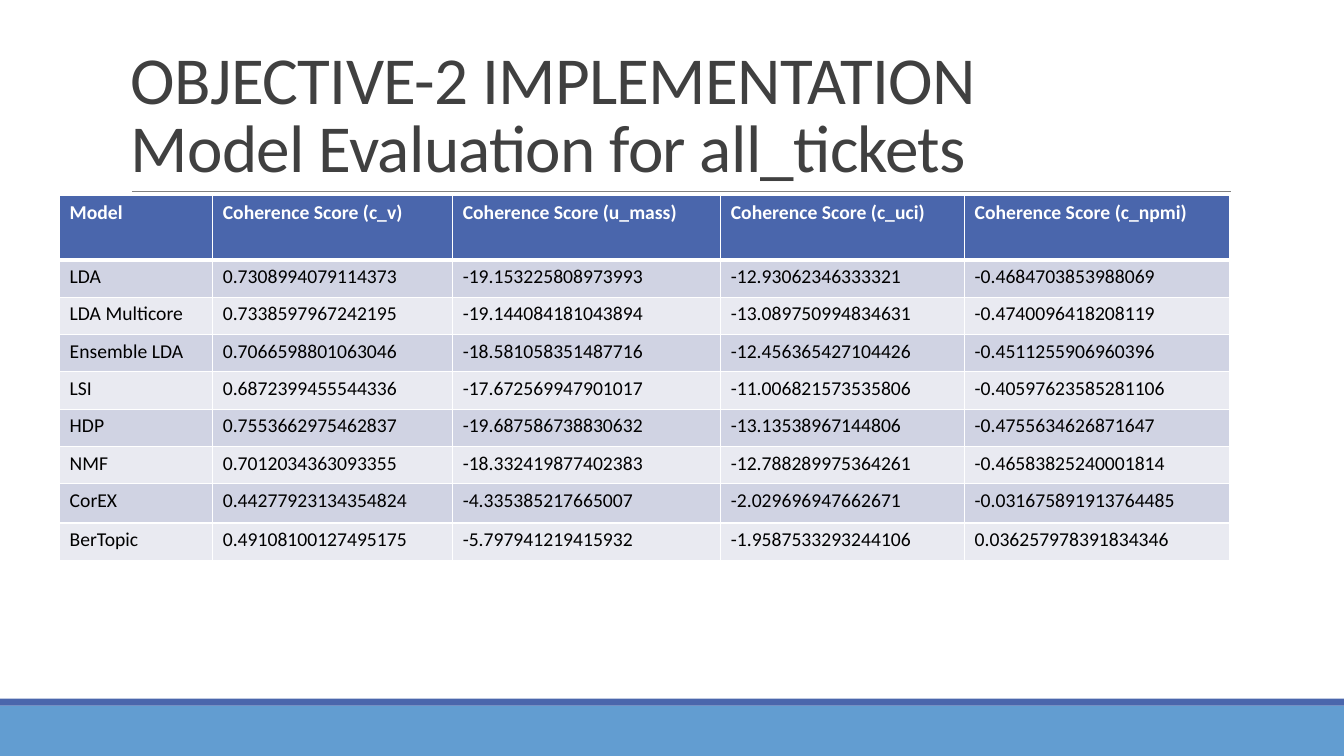
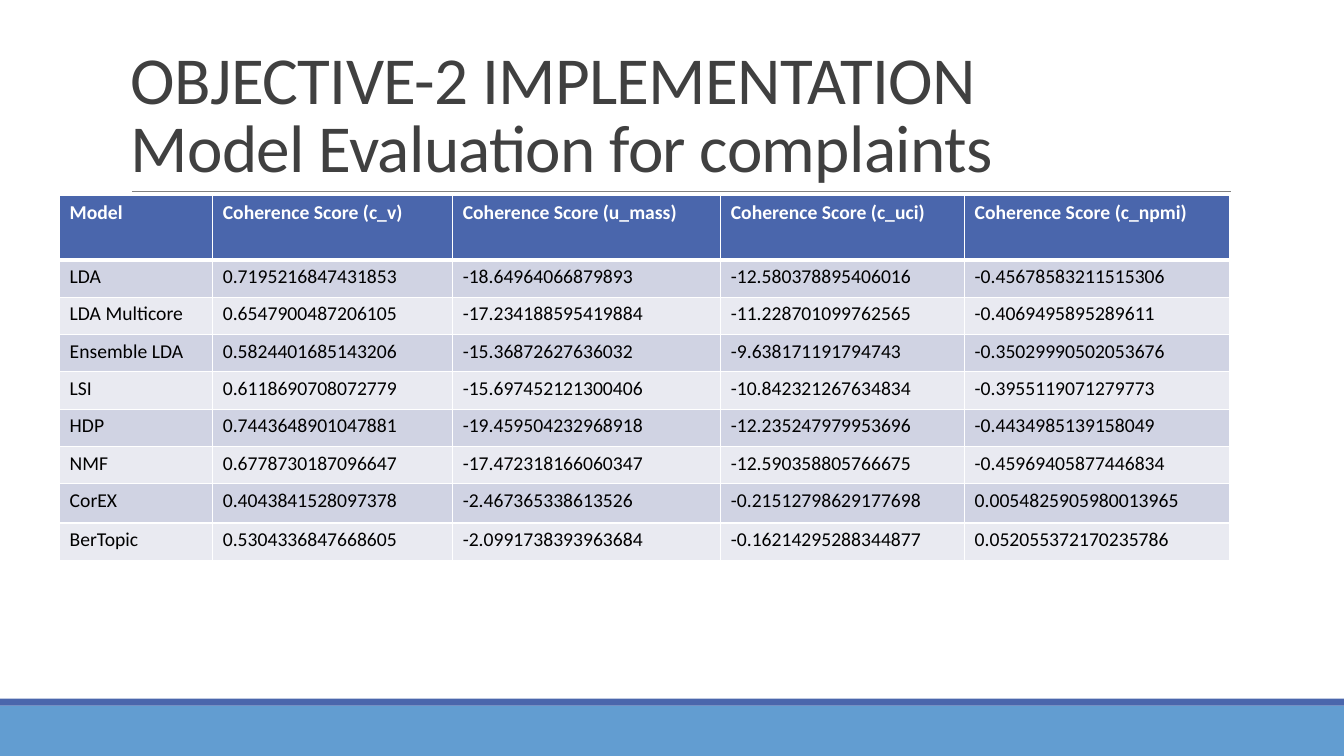
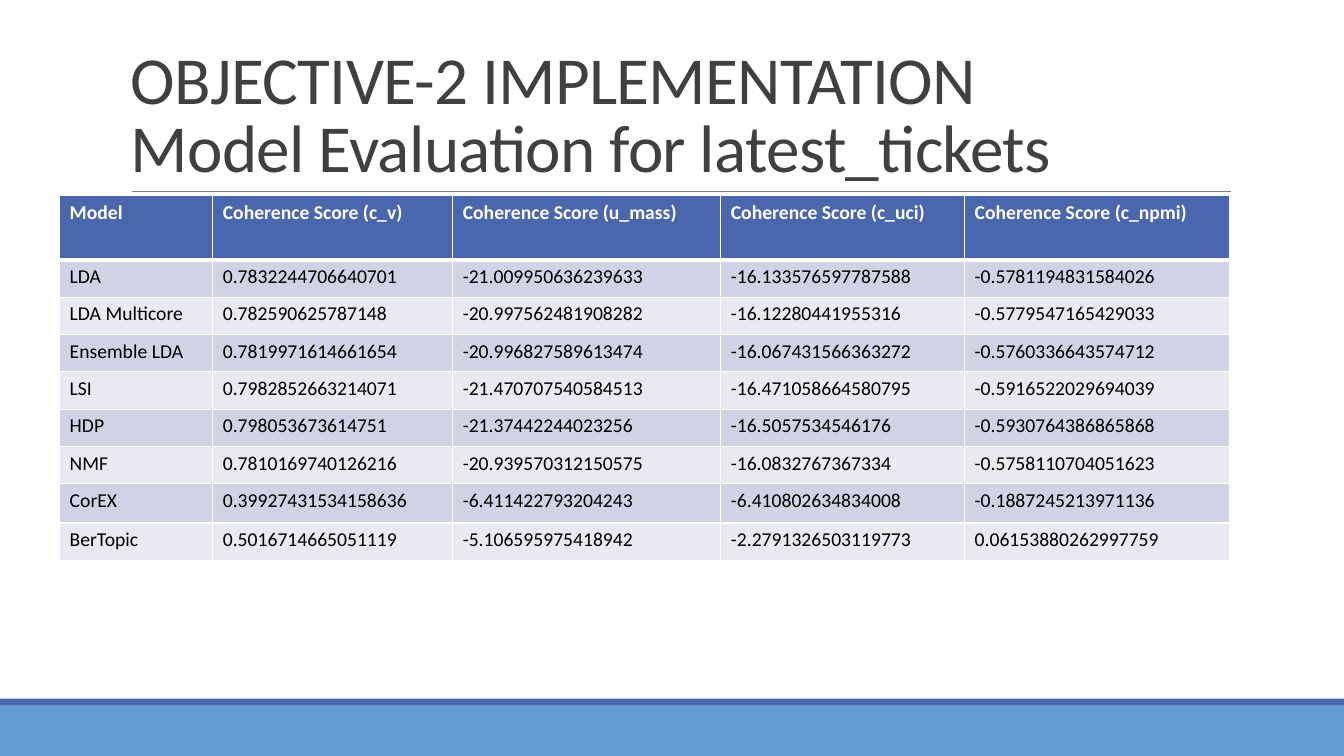
"""Build three slides of topic model coherence scores."""
import pptx
import pptx.dml.color
import pptx.enum.shapes
import pptx.enum.text
import pptx.oxml.ns
import pptx.util
from lxml import etree

Pt = pptx.util.Pt
FONT = "Calibri"
COLORS = {
    "band": "629DD1",
    "accent": "4A66AC",
    "rule": "808080",
    "title": "404040",
    "text": "000000",
    "white": "FFFFFF",
    "odd": "D0D3E3",
    "even": "E9EAF1",
}
PAGE_WIDTH, PAGE_HEIGHT = 960, 540
FOOTER_BOX = (0, 499, PAGE_WIDTH, 41)
TITLE_BOX = (86.4, 22.6, 792, 114.2)
TABLE_ORIGIN = (42.6, 139.6)
COLUMN_WIDTHS = (109.4, 171.4, 191.5, 174.2, 189.4)
ROW_HEIGHTS = (46, *[26.7] * 6, 28, 26.7)
HEADINGS = ("Model", *(f"Coherence Score ({measure})" for measure in ("c_v", "u_mass", "c_uci", "c_npmi")))
MODELS = ("LDA", "LDA Multicore", "Ensemble LDA", "LSI", "HDP", "NMF", "CorEX", "BerTopic")
SCORES = {
    "all_tickets": (
        ("0.7308994079114373", "-19.153225808973993", "-12.93062346333321", "-0.4684703853988069"),
        ("0.7338597967242195", "-19.144084181043894", "-13.089750994834631", "-0.4740096418208119"),
        ("0.7066598801063046", "-18.581058351487716", "-12.456365427104426", "-0.4511255906960396"),
        ("0.6872399455544336", "-17.672569947901017", "-11.006821573535806", "-0.40597623585281106"),
        ("0.7553662975462837", "-19.687586738830632", "-13.13538967144806", "-0.4755634626871647"),
        ("0.7012034363093355", "-18.332419877402383", "-12.788289975364261", "-0.46583825240001814"),
        ("0.44277923134354824", "-4.335385217665007", "-2.029696947662671", "-0.031675891913764485"),
        ("0.49108100127495175", "-5.797941219415932", "-1.9587533293244106", "0.036257978391834346"),
    ),
    "complaints": (
        ("0.7195216847431853", "-18.64964066879893", "-12.580378895406016", "-0.45678583211515306"),
        ("0.6547900487206105", "-17.234188595419884", "-11.228701099762565", "-0.4069495895289611"),
        ("0.5824401685143206", "-15.36872627636032", "-9.638171191794743", "-0.35029990502053676"),
        ("0.6118690708072779", "-15.697452121300406", "-10.842321267634834", "-0.3955119071279773"),
        ("0.7443648901047881", "-19.459504232968918", "-12.235247979953696", "-0.4434985139158049"),
        ("0.6778730187096647", "-17.472318166060347", "-12.590358805766675", "-0.45969405877446834"),
        ("0.4043841528097378", "-2.467365338613526", "-0.21512798629177698", "0.0054825905980013965"),
        ("0.5304336847668605", "-2.0991738393963684", "-0.16214295288344877", "0.052055372170235786"),
    ),
    "latest_tickets": (
        ("0.7832244706640701", "-21.009950636239633", "-16.133576597787588", "-0.5781194831584026"),
        ("0.782590625787148", "-20.997562481908282", "-16.12280441955316", "-0.5779547165429033"),
        ("0.7819971614661654", "-20.996827589613474", "-16.067431566363272", "-0.5760336643574712"),
        ("0.7982852663214071", "-21.470707540584513", "-16.471058664580795", "-0.5916522029694039"),
        ("0.798053673614751", "-21.37442244023256", "-16.5057534546176", "-0.5930764386865868"),
        ("0.7810169740126216", "-20.939570312150575", "-16.0832767367334", "-0.5758110704051623"),
        ("0.39927431534158636", "-6.411422793204243", "-6.410802634834008", "-0.1887245213971136"),
        ("0.5016714665051119", "-5.106595975418942", "-2.2791326503119773", "0.06153880262997759"),
    ),
}


def rgb(name):
    """Return the named colour."""
    return pptx.dml.color.RGBColor.from_string(COLORS[name])


def add_span(para, text, size, color, bold=False):
    """Add one styled run to a paragraph."""
    span = para.add_run()
    span.text = text
    span.font.name = FONT
    span.font.size = Pt(size)
    span.font.bold = bold
    span.font.color.rgb = rgb(color)
    return span


def add_bar(page, left, top, width, height, color):
    """Add a plain filled rectangle."""
    kind = pptx.enum.shapes.MSO_SHAPE.RECTANGLE
    bar = page.shapes.add_shape(kind, Pt(left), Pt(top), Pt(width), Pt(height))
    bar.shadow.inherit = False
    bar.fill.solid()
    bar.fill.fore_color.rgb = rgb(color)
    bar.line.fill.background()


def add_footer(page, box):
    """Add the footer band with its accent strip on top."""
    left, top, width, height = box
    strip = 5
    add_bar(page, left, top + strip, width, height - strip, "band")
    add_bar(page, left, top, width, strip, "accent")


def add_title(page, box, lines):
    """Add the title lines and the rule beneath them."""
    left, top, width, height = box
    indent, bottom = 7.9, top + height
    rule = page.shapes.add_connector(
        pptx.enum.shapes.MSO_CONNECTOR.STRAIGHT,
        Pt(left + indent), Pt(bottom), Pt(left + width + 0.7), Pt(bottom))
    rule.line.color.rgb = rgb("rule")
    rule.line.width = Pt(0.5)
    etree.SubElement(rule.element.spPr, pptx.oxml.ns.qn("a:effectLst"))

    frame = page.shapes.add_textbox(Pt(left), Pt(top), Pt(width), Pt(height)).text_frame
    frame.word_wrap = True
    frame.vertical_anchor = pptx.enum.text.MSO_ANCHOR.BOTTOM
    para = frame.paragraphs[0]
    para.line_spacing = 0.85
    for number, line in enumerate(lines):
        if number:
            para.add_line_break()
        span = add_span(para, line, 48, "title")
        span.font._element.set("spc", "-50")


def add_borders(cell, bottom):
    """Draw white borders round a cell, with the given bottom width."""
    qn = pptx.oxml.ns.qn
    properties = cell._tc.get_or_add_tcPr()
    for side, width in (("L", 1), ("R", 1), ("T", 1), ("B", bottom)):
        line = etree.SubElement(properties, qn(f"a:ln{side}"), w=str(Pt(width)))
        fill = etree.SubElement(line, qn("a:solidFill"))
        etree.SubElement(fill, qn("a:srgbClr"), val=COLORS["white"])


def fill_cell(cell, text, row):
    """Write and style one cell according to its row."""
    heading = row == 0
    add_borders(cell, 3 if heading else 1)
    cell.fill.solid()
    cell.fill.fore_color.rgb = rgb("accent" if heading else "odd" if row % 2 else "even")
    add_span(cell.text_frame.paragraphs[0], text, 14, "white" if heading else "text", heading)


def add_score_table(page, origin, scores):
    """Add the table of scores by model."""
    rows = [HEADINGS, *((model, *values) for model, values in zip(MODELS, scores))]
    left, top = origin
    table = page.shapes.add_table(
        len(rows), len(HEADINGS), Pt(left), Pt(top),
        Pt(sum(COLUMN_WIDTHS)), Pt(sum(ROW_HEIGHTS))).table
    for column, width in zip(table.columns, COLUMN_WIDTHS):
        column.width = Pt(width)
    for row, (texts, height) in enumerate(zip(rows, ROW_HEIGHTS)):
        table.rows[row].height = Pt(height)
        for column, text in enumerate(texts):
            fill_cell(table.cell(row, column), text, row)


def add_evaluation_page(deck, dataset, scores):
    """Add the evaluation slide of one dataset."""
    page = deck.slides.add_slide(deck.slide_layouts[6])
    add_footer(page, FOOTER_BOX)
    add_title(page, TITLE_BOX, ("OBJECTIVE-2 IMPLEMENTATION", f"Model Evaluation for {dataset}"))
    add_score_table(page, TABLE_ORIGIN, scores)


def main():
    """Build and save the deck."""
    deck = pptx.Presentation()
    deck.slide_width, deck.slide_height = Pt(PAGE_WIDTH), Pt(PAGE_HEIGHT)
    for dataset, scores in SCORES.items():
        add_evaluation_page(deck, dataset, scores)
    deck.save("out.pptx")


if __name__ == "__main__":
    main()
